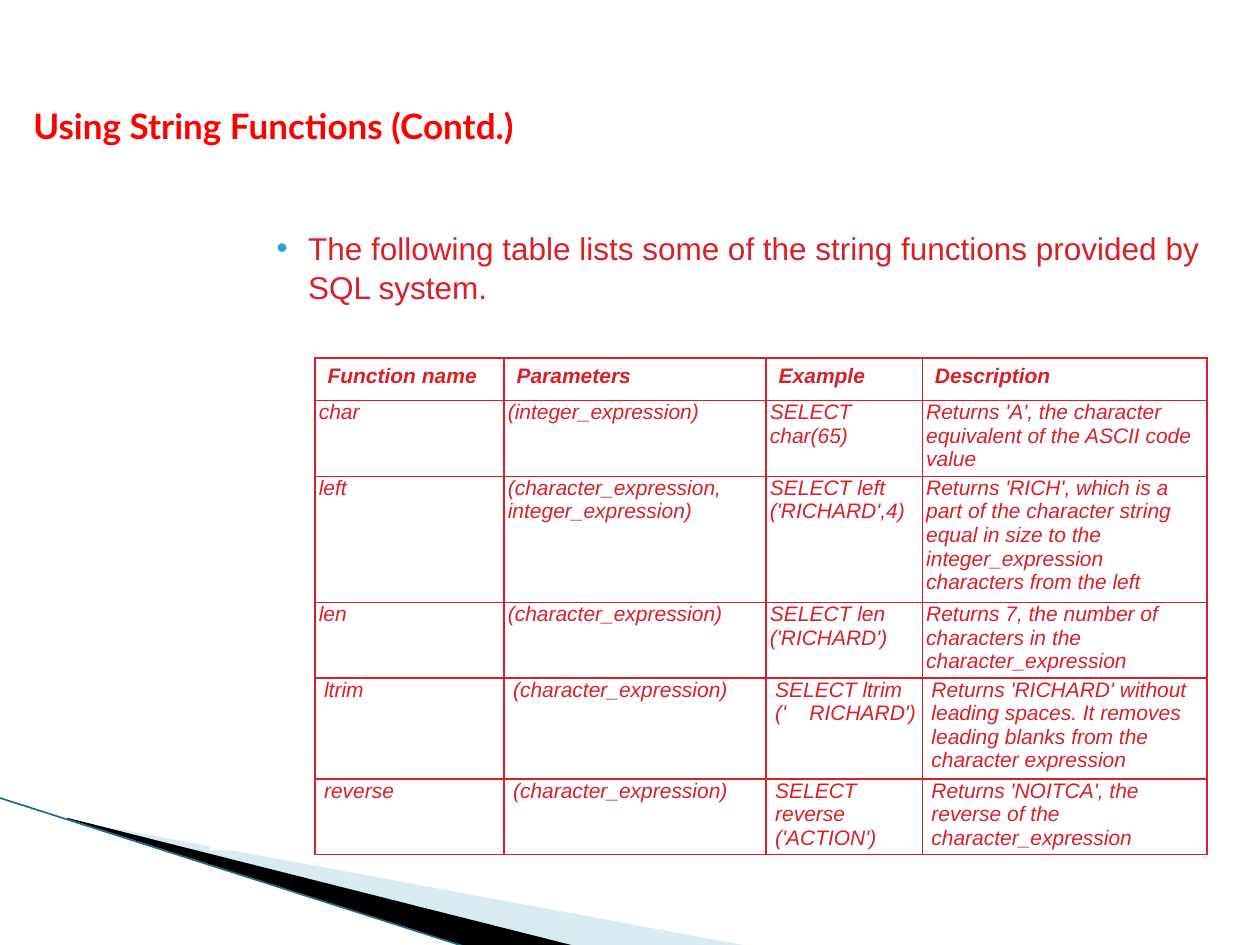
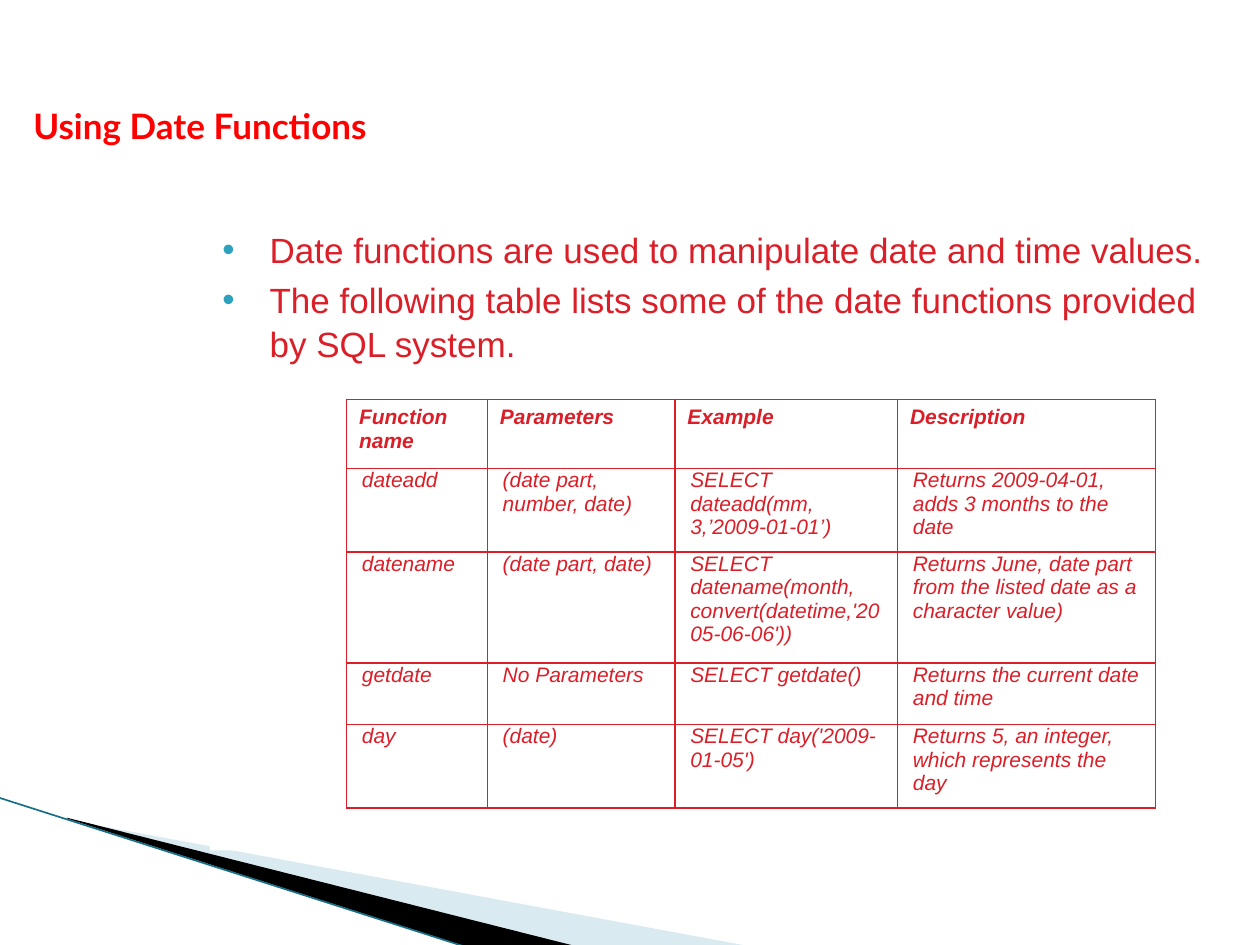
from lxml import etree
from pptx import Presentation
from pptx.dml.color import RGBColor
from pptx.enum.shapes import MSO_CONNECTOR, MSO_SHAPE
from pptx.enum.text import MSO_ANCHOR, PP_ALIGN
from pptx.oxml.ns import qn
from pptx.util import Pt

LEFT, TOP = PP_ALIGN.LEFT, MSO_ANCHOR.TOP
RECTANGLE, STRAIGHT = MSO_SHAPE.RECTANGLE, MSO_CONNECTOR.STRAIGHT

WHITE, BLACK = "FFFFFF", "000000"
TITLE_RED, TEXT_RED = "FF0000", "DA1F28"
BULLET_BLUE, PALE_BLUE, EDGE_TEAL = "2DA2BF", "A0CBDC", "196F86"

# Corner decoration: outline points, colour, opacity in percent
WEDGES = [
    ([(39.6, 468.7), (428.4, 540.7), (328.3, 540.7), (39.6, 468)], PALE_BLUE, 40),
    ([(38.2, 467.3), (329, 540.7), (267.8, 541.4), (38.9, 468)], BLACK, 100),
]

PAGES = [
    {
        "title": "Using String Functions (Contd.)",
        "points": ["The following table lists some of the string functions provided by SQL system."],
        "point_size": 18, "indent": 49, "hanging": 18,
        "corner": (180, 204.5),
        "widths": [108, 149.8, 89.3, 162.7],
        "heights": [24.5, 43.2, 72, 43.2, 57.6, 43.2],
        "side_inset": 2.2, "first_indented_row": 4,
        "functions": [
            ("char", "(integer_expression)", "SELECT char(65)",
             "Returns 'A', the character equivalent of the ASCII code value"),
            ("left", "(character_expression, integer_expression)", "SELECT left ('RICHARD',4)",
             "Returns 'RICH', which is a part of the character string equal in size to the "
             "integer_expression characters from the left"),
            ("len", "(character_expression)", "SELECT len ('RICHARD')",
             "Returns 7, the number of characters in the character_expression"),
            ("ltrim", "(character_expression)", "SELECT ltrim ('    RICHARD')",
             "Returns 'RICHARD' without leading spaces. It removes leading blanks from the "
             "character expression"),
            ("reverse", "(character_expression)", "SELECT reverse ('ACTION')",
             "Returns 'NOITCA', the reverse of the character_expression"),
        ],
    },
    {
        "title": "Using Date Functions",
        "points": ["Date functions are used to manipulate date and time values.",
                   "The following table lists some of the date functions provided by SQL system."],
        "point_size": 20, "indent": 27, "hanging": 27,
        "corner": (198, 228.2),
        "widths": [80.5, 107.2, 127.2, 147.4],
        "heights": [39.6, 47.7, 63.5, 35.2, 47.7],
        "side_inset": 5.8, "first_indented_row": 1,
        "functions": [
            ("dateadd", "(date part, number, date)", "SELECT dateadd(mm, 3,’2009-01-01’)",
             "Returns 2009-04-01, adds 3 months to the date"),
            ("datename", "(date part, date)",
             "SELECT datename(month, convert(datetime,'2005-06-06'))",
             "Returns June, date part from the listed date as a character value)"),
            ("getdate", "No Parameters", "SELECT getdate()",
             "Returns the current date and time"),
            ("day", "(date)", "SELECT day('2009-01-05')",
             "Returns 5, an integer, which represents the day"),
        ],
    },
]
HEADINGS = ("Function name", "Parameters", "Example", "Description")


def paint(fill, color):
    fill.solid()
    fill.fore_color.rgb = RGBColor.from_string(color)


def write(frame, paragraphs, size, color=TEXT_RED, font="Arial", bold=False, italic=False,
          before=0, after=0, spacing=1.0, indent=0, hanging=0, bullet=None):
    """Fill a text frame; bullet is the colour of the bullet, if there is one."""
    frame.word_wrap = True
    for index, text in enumerate(paragraphs):
        paragraph = frame.add_paragraph() if index else frame.paragraphs[0]
        paragraph.alignment = LEFT
        paragraph.space_before, paragraph.space_after = Pt(before), Pt(after)
        paragraph.line_spacing = spacing
        properties = paragraph._p.get_or_add_pPr()
        properties.set("marL", str(Pt(indent)))
        properties.set("indent", str(Pt(-hanging)))
        if bullet:
            bullet_color = etree.SubElement(properties, qn("a:buClr"))
            etree.SubElement(bullet_color, qn("a:srgbClr"), val=bullet)
            etree.SubElement(properties, qn("a:buFont"), typeface="Arial")
            etree.SubElement(properties, qn("a:buChar"), char="•")
        run = paragraph.add_run()
        run.text = text
        run.font.name, run.font.size = font, Pt(size)
        run.font.bold, run.font.italic = bold, italic
        paint(run.font.fill, color)


deck = Presentation()
deck.slide_width, deck.slide_height = Pt(720), Pt(540)

for page in PAGES:
    slide = deck.slides.add_slide(deck.slide_layouts[6])
    paint(slide.background.fill, WHITE)
    shapes = slide.shapes

    for outline, color, opacity in WEDGES:
        start, *others = [(Pt(x), Pt(y)) for x, y in outline]
        builder = shapes.build_freeform(*start)
        builder.add_line_segments(others)
        wedge = builder.convert_to_shape()
        wedge.shadow.inherit = False
        wedge.line.fill.background()
        paint(wedge.fill, color)
        if opacity < 100:
            tint = wedge._element.spPr.find(".//" + qn("a:srgbClr"))
            etree.SubElement(tint, qn("a:alpha"), val=str(opacity * 1000))

    edge = shapes.add_connector(STRAIGHT, Pt(-0.7), Pt(455.8), Pt(267.1), Pt(541.4))
    paint(edge.line.fill, EDGE_TEAL)
    edge.line.width = Pt(0.95)
    etree.SubElement(edge._element.spPr, qn("a:effectLst"))

    body = shapes.add_shape(RECTANGLE, Pt(120), Pt(126), Pt(576), Pt(360))
    body.shadow.inherit = False
    body.line.fill.background()
    paint(body.fill, WHITE)
    body.text_frame.vertical_anchor = TOP
    write(body.text_frame, page["points"], page["point_size"], before=3.2, spacing=1.05,
          indent=page["indent"], hanging=page["hanging"], bullet=BULLET_BLUE)

    title = shapes.add_textbox(Pt(12), Pt(56.2), Pt(540), Pt(31.5))
    write(title.text_frame, [page["title"]], 20, color=TITLE_RED, font="Lato", bold=True)

    widths, heights = page["widths"], page["heights"]
    left, top = page["corner"]
    table = shapes.add_table(len(heights), len(widths), Pt(left), Pt(top),
                             Pt(sum(widths)), Pt(sum(heights))).table
    table.first_row = table.horz_banding = False
    for column, width in zip(table.columns, widths):
        column.width = Pt(width)
    for row, height in zip(table.rows, heights):
        row.height = Pt(height)

    for row_index, entries in enumerate([HEADINGS, *page["functions"]]):
        heading = row_index == 0
        side, end = (7.2, 3.6) if heading else (page["side_inset"], 0)
        layout = {}
        if row_index >= page["first_indented_row"]:
            layout = {"indent": 3, "before": 6, "after": 4}
        for column_index, entry in enumerate(entries):
            cell = table.cell(row_index, column_index)
            cell.margin_left = cell.margin_right = Pt(side)
            cell.margin_top = cell.margin_bottom = Pt(end)
            cell.vertical_anchor = TOP
            cell_properties = cell._tc.get_or_add_tcPr()
            for border in ("a:lnL", "a:lnR", "a:lnT", "a:lnB"):
                line = etree.SubElement(cell_properties, qn(border), w=str(Pt(1)))
                line_fill = etree.SubElement(line, qn("a:solidFill"))
                etree.SubElement(line_fill, qn("a:srgbClr"), val=TEXT_RED)
            cell.fill.background()
            write(cell.text_frame, [entry], 12, bold=heading, italic=True, **layout)

deck.save("out.pptx")
